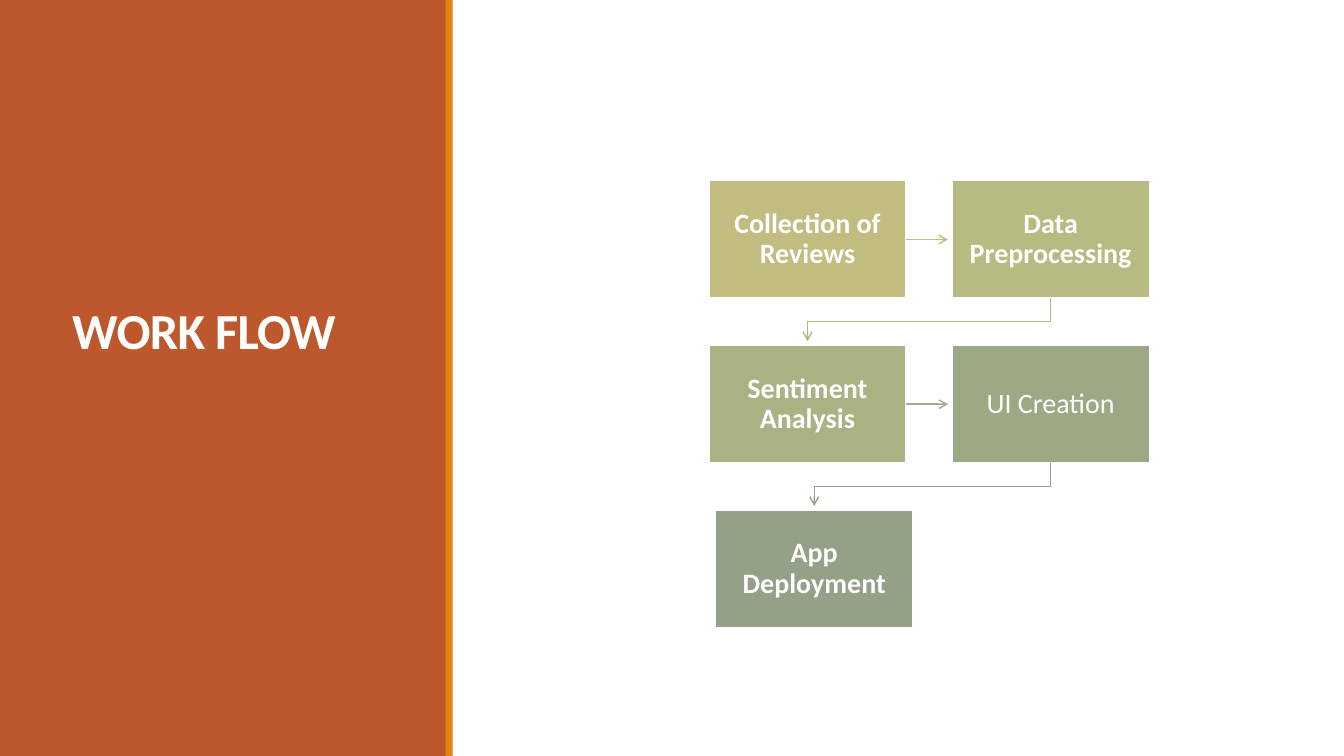
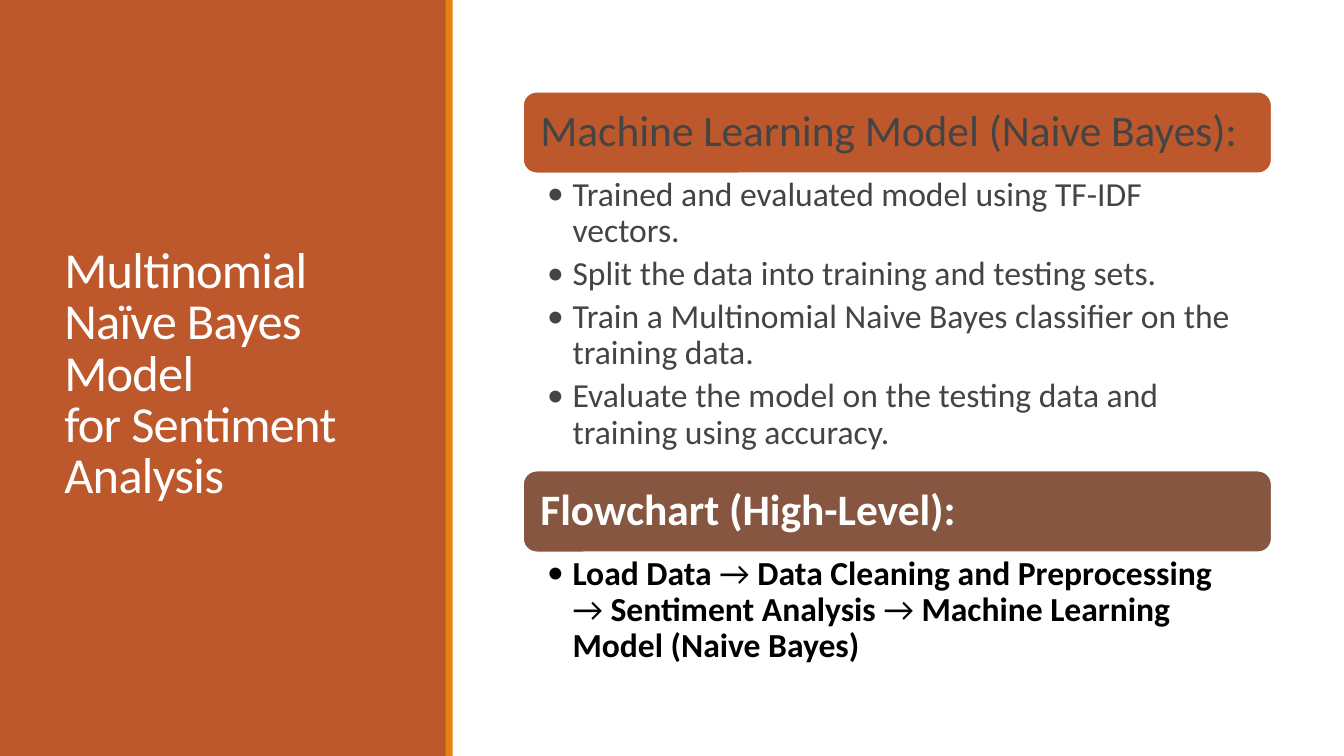
from dataclasses import dataclass

from lxml import etree
from pptx import Presentation
from pptx.dml.color import RGBColor
from pptx.enum.shapes import MSO_CONNECTOR, MSO_SHAPE
from pptx.enum.text import MSO_ANCHOR, MSO_AUTO_SIZE, PP_ALIGN
from pptx.oxml.ns import qn
from pptx.util import Cm, Pt

RECTANGLE, ROUNDED = MSO_SHAPE.RECTANGLE, MSO_SHAPE.ROUNDED_RECTANGLE
STRAIGHT = MSO_CONNECTOR.STRAIGHT
TOP, MIDDLE, BOTTOM = MSO_ANCHOR.TOP, MSO_ANCHOR.MIDDLE, MSO_ANCHOR.BOTTOM
LEFT, CENTER = PP_ALIGN.LEFT, PP_ALIGN.CENTER
RIGHT_SIDE = 3


@dataclass(frozen=True)
class Theme:
    font: str = "Calibri"
    rust: str = "BD582C"
    orange: str = "E48312"
    brown: str = "865640"
    white: str = "FFFFFF"
    gray: str = "444444"
    black: str = "000000"
    step_fills: tuple = ("C2BC80", "B7BA81", "A8B283", "9DA985", "94A088")
    arrow_colors: tuple = ("C2BC80", "B2B782", "A0AC85", "94A088")
    title_size: float = 36
    heading_size: float = 31
    body_size: float = 24
    step_size: float = 20


class Deck:
    def __init__(self, theme):
        self.theme = theme
        self.deck = Presentation()
        self.deck.slide_width, self.deck.slide_height = Cm(33.87), Cm(19.05)
        self.layout = self.deck.slide_layouts[5]
        self.page = None

    def add_page(self, title, at, anchor, bold=False):
        first = self.page is None
        self.page = self.deck.slides.add_slide(self.layout)
        if first:
            self.add_side_panel()
        box = self.page.shapes.title
        box.left, box.top, box.width, box.height = map(Cm, at)
        self.frame(box, anchor, (0.25, 0.13))
        para = box.text_frame.paragraphs[0]
        para.text = title
        self.style(para, self.theme.title_size, self.theme.white, bold, spacing=0.85)
        para._p.pPr.find(qn("a:defRPr")).set("spc", "-50")

    def add_side_panel(self):
        """Place the side panel on the layout, behind every page's content."""
        bands = [self.shape(RECTANGLE, (0, 0, 11.25, 19.05), self.theme.rust),
                 self.shape(RECTANGLE, (11.23, 0, 0.18, 19.05), self.theme.orange)]
        for index, band in enumerate(bands, start=2):
            self.layout.shapes._spTree.insert(index, band._element)

    def shape(self, kind, at, fill, outline=None):
        shape = self.page.shapes.add_shape(kind, *map(Cm, at))
        shape.shadow.inherit = False
        shape.fill.solid()
        shape.fill.fore_color.rgb = RGBColor.from_string(fill)
        if outline:
            shape.line.color.rgb = RGBColor.from_string(outline)
            shape.line.width = Pt(1.25)
        else:
            shape.line.fill.background()
        return shape

    def frame(self, box, anchor, insets):
        """Set wrapping, anchor and (horizontal, vertical) insets in cm."""
        frame = box.text_frame
        frame.word_wrap = True
        frame.auto_size = MSO_AUTO_SIZE.NONE
        frame.vertical_anchor = anchor
        frame.margin_left = frame.margin_right = Cm(insets[0])
        frame.margin_top = frame.margin_bottom = Cm(insets[1])

    def style(self, para, size, color, bold=False, align=LEFT, spacing=0.9):
        para.alignment = align
        para.line_spacing = spacing
        font = para.font
        font.name, font.size, font.bold = self.theme.font, Pt(size), bold
        font.color.rgb = RGBColor.from_string(color)

    def labelled(self, kind, text, at, fill, size, color, bold, align, inset):
        box = self.shape(kind, at, fill, self.theme.white)
        self.frame(box, MIDDLE, (inset, inset))
        para = box.text_frame.paragraphs[0]
        para.text = text
        self.style(para, size, color, bold, align)
        return box

    def step(self, text, at, fill, bold):
        return self.labelled(RECTANGLE, text, at, fill, self.theme.step_size,
                             self.theme.white, bold, CENTER, 0.4)

    def heading(self, text, at, fill, color, bold=False):
        self.labelled(ROUNDED, text, at, fill, self.theme.heading_size,
                      color, bold, LEFT, 0.34)

    def bullets(self, items, at, color):
        """Each item is a list of (text, bold) spans."""
        box = self.page.shapes.add_textbox(*map(Cm, at))
        self.frame(box, TOP, (0.61, 0.1))
        frame = box.text_frame
        for index, spans in enumerate(items):
            para = frame.add_paragraph() if index else frame.paragraphs[0]
            properties = para._p.get_or_add_pPr()
            properties.set("marL", str(Cm(0.64)))
            properties.set("indent", str(-Cm(0.64)))
            etree.SubElement(properties, qn("a:buFont")).set("typeface", self.theme.font)
            etree.SubElement(properties, qn("a:buChar")).set("char", "•")
            para.space_after = Pt(4.8)
            self.style(para, self.theme.body_size, color)
            for text, bold in spans:
                span = para.add_run()
                span.text = text
                if bold:
                    span.font.bold = True

    def arrowhead(self, line, color):
        line.color.rgb = RGBColor.from_string(color)
        line.width = Pt(1)
        etree.SubElement(line._get_or_add_ln(), qn("a:tailEnd")).set("type", "arrow")

    def arrow_across(self, source, target, color, gap):
        """Point from the right side of source to just before target."""
        middle = source.top + source.height // 2
        arrow = self.page.shapes.add_connector(
            STRAIGHT, source.left + source.width, middle, target.left - gap, middle)
        arrow.begin_connect(source, RIGHT_SIDE)
        self.arrowhead(arrow.line, color)
        etree.SubElement(arrow._element.spPr, qn("a:effectLst"))

    def arrow_down(self, source, target, color, gap):
        """Bend from the bottom of source to just above target."""
        start_x = source.left + source.width // 2
        end_x = target.left + target.width // 2
        start_y = source.top + source.height
        bend_y = (start_y + target.top) // 2
        outline = self.page.shapes.build_freeform(start_x, start_y)
        outline.add_line_segments(
            [(start_x, bend_y), (end_x, bend_y), (end_x, target.top - gap)], close=False)
        arrow = outline.convert_to_shape()
        arrow.shadow.inherit = False
        arrow.fill.background()
        self.arrowhead(arrow.line, color)


def add_work_flow(deck):
    deck.add_page("WORK FLOW", (1.57, 6.63, 8.56, 2.57), BOTTOM, bold=True)
    steps = [("Collection of Reviews", True), ("Data Preprocessing", True),
             ("Sentiment Analysis", True), ("UI Creation", False),
             ("App Deployment", True)]
    boxes = []
    for index, (text, bold) in enumerate(steps):
        row, column = divmod(index, 2)
        nudge = 0.17 if row == 2 else 0
        at = (17.86 + 6.13 * column + nudge, 4.55 + 4.15 * row, 4.98, 2.97)
        boxes.append(deck.step(text, at, deck.theme.step_fills[index], bold))
    links = zip(boxes, boxes[1:], deck.theme.arrow_colors)
    for index, (source, target, color) in enumerate(links):
        draw = deck.arrow_down if index % 2 else deck.arrow_across
        draw(source, target, color, Cm(0.1))


def add_model(deck):
    theme = deck.theme
    deck.add_page("Multinomial\nNaïve Bayes\nModel\nfor Sentiment\nAnalysis",
                  (1.37, 1.45, 8.56, 16.03), MIDDLE)
    left, width = 13.18, 18.87
    deck.heading("Machine Learning Model (Naive Bayes):",
                 (left, 2.31, width, 2.06), theme.rust, theme.gray)
    points = ["Trained and evaluated model using TF-IDF vectors.",
              "Split the data into training and testing sets.",
              "Train a Multinomial Naive Bayes classifier on the training data.",
              "Evaluate the model on the testing data and training using accuracy."]
    deck.bullets([[(point, False)] for point in points],
                 (left, 4.37, width, 7.49), theme.gray)
    deck.heading("Flowchart (High-Level):",
                 (left, 11.86, width, 2.06), theme.brown, theme.white, bold=True)
    stages = ["Load Data", "Data Cleaning and Preprocessing",
              "Sentiment Analysis", "Machine Learning Model (Naive Bayes)"]
    flow = [(stages[0], True)]
    for stage in stages[1:]:
        flow += [(" → ", False), (stage, True)]
    deck.bullets([flow], (left, 13.92, width, 3.02), theme.black)


def main():
    deck = Deck(Theme())
    add_work_flow(deck)
    add_model(deck)
    deck.deck.save("out.pptx")


if __name__ == "__main__":
    main()
